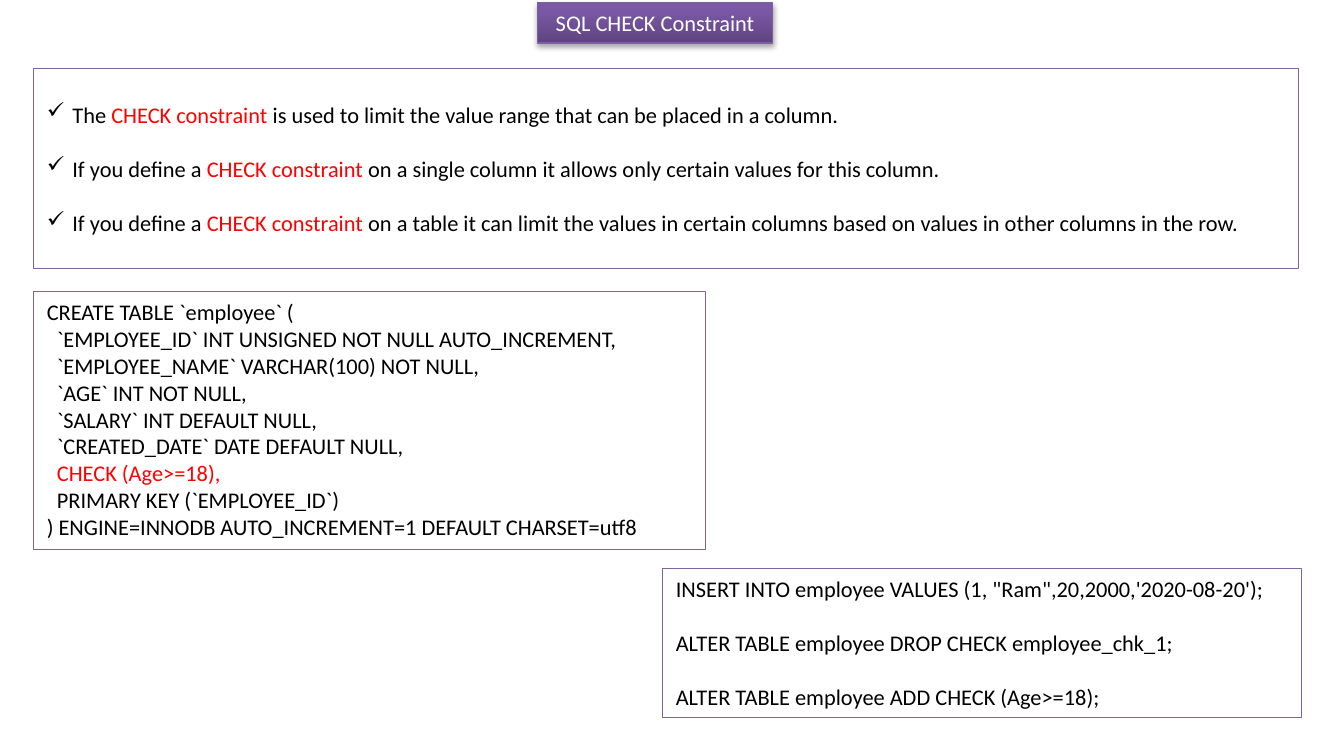
import copy

import lxml.etree
import pptx
import pptx.dml.color
import pptx.enum.shapes
import pptx.enum.text
import pptx.oxml.ns
import pptx.util

Inches = pptx.util.Inches
Pt = pptx.util.Pt
qn = pptx.oxml.ns.qn
ANCHOR = pptx.enum.text.MSO_ANCHOR
ALIGN = pptx.enum.text.PP_ALIGN


class Theme:
    font = "Calibri"
    size = Pt(12)
    blank_line = Pt(14.65)
    text = "000000"
    accent = "FF0000"
    panel = "FFFFFF"
    border = "8064A2"
    title_text = "FFFFFF"
    title_border = "7D60A0"
    title_stops = [(0, "5F4480"), (0.8, "7B58A6"), (1, "7C57A8")]


TITLE = "SQL CHECK Constraint"
RULES = [
    "The CHECK constraint is used to limit the value range that can be placed in a column.",
    "If you define a CHECK constraint on a single column it allows only certain values for this column.",
    "If you define a CHECK constraint on a table it can limit the values in certain columns "
    "based on values in other columns in the row.",
]
CREATE_TABLE = [
    "CREATE TABLE `employee` (",
    "  `EMPLOYEE_ID` INT UNSIGNED NOT NULL AUTO_INCREMENT,",
    "  `EMPLOYEE_NAME` VARCHAR(100) NOT NULL,",
    "  `AGE` INT NOT NULL,",
    "  `SALARY` INT DEFAULT NULL,",
    "  `CREATED_DATE` DATE DEFAULT NULL,",
    "  CHECK (Age>=18),",
    "  PRIMARY KEY (`EMPLOYEE_ID`)",
    ") ENGINE=INNODB AUTO_INCREMENT=1 DEFAULT CHARSET=utf8",
]
STATEMENTS = [
    "INSERT INTO employee VALUES (1, \"Ram\",20,2000,'2020-08-20');",
    "ALTER TABLE employee DROP CHECK employee_chk_1;",
    "ALTER TABLE employee ADD CHECK (Age>=18);",
]


def rgb(value):
    return pptx.dml.color.RGBColor.from_string(value)


def add_box(slide, left, top, width, height, border, weight):
    box = slide.shapes.add_shape(
        pptx.enum.shapes.MSO_SHAPE.RECTANGLE,
        Inches(left), Inches(top), Inches(width), Inches(height))
    box.shadow.inherit = False
    box.line.color.rgb = rgb(border)
    box.line.width = Pt(weight)
    box.text_frame.word_wrap = True
    return box


def add_check_bullet(paragraph):
    properties = paragraph._p.get_or_add_pPr()
    properties.set("marL", str(Inches(0.19)))
    properties.set("indent", str(-Inches(0.19)))
    lxml.etree.SubElement(properties, qn("a:buChar")).set("char", "✓")


def write_lines(box, lines, color, accent=None, align=ALIGN.LEFT,
                anchor=ANCHOR.TOP, spaced=False, bulleted=False):
    """One paragraph per line; the accent phrase gets the accent colour."""
    frame = box.text_frame
    frame.vertical_anchor = anchor
    for number, line in enumerate(lines):
        paragraph = frame.add_paragraph() if number else frame.paragraphs[0]
        paragraph.alignment = align
        if spaced and number:
            paragraph.space_before = Theme.blank_line
        if bulleted:
            add_check_bullet(paragraph)
        for piece in line.partition(accent) if accent else [line]:
            if not piece:
                continue
            run = paragraph.add_run()
            run.text = piece
            run.font.name = Theme.font
            run.font.size = Theme.size
            run.font.color.rgb = rgb(Theme.accent if piece == accent else color)


def add_panel(slide, place, lines, **options):
    panel = add_box(slide, *place, Theme.border, 0.25)
    panel.fill.solid()
    panel.fill.fore_color.rgb = rgb(Theme.panel)
    write_lines(panel, lines, Theme.text, **options)


def add_title(slide, place, text):
    title = add_box(slide, *place, Theme.title_border, 0.75)
    write_lines(title, [text], Theme.title_text, align=ALIGN.CENTER)

    # Gradient rising from dark to light
    title.fill.gradient()
    title.fill.gradient_angle = 90
    properties = title._element.spPr
    stop_list = properties.find(".//" + qn("a:gsLst"))
    stop_list.append(copy.deepcopy(stop_list[-1]))
    for stop, (position, color) in zip(title.fill.gradient_stops, Theme.title_stops):
        stop.position = position
        stop.color.rgb = rgb(color)

    # Soft shadow below
    shadow = lxml.etree.SubElement(
        properties.find(qn("a:effectLst")), qn("a:outerShdw"),
        blurRad=str(Pt(3.1)), dist=str(Pt(1.8)), dir="5400000", rotWithShape="0")
    black = lxml.etree.SubElement(shadow, qn("a:srgbClr"), val="000000")
    lxml.etree.SubElement(black, qn("a:alpha"), val="35000")


def main():
    deck = pptx.Presentation()
    deck.slide_width, deck.slide_height = Inches(10), Inches(5.5)
    slide = deck.slides.add_slide(deck.slide_layouts[6])

    add_title(slide, (4, 0.02, 1.75, 0.3), TITLE)

    # What the constraint does
    add_panel(slide, (0.25, 0.51, 9.41, 1.49), RULES, accent="CHECK constraint",
              anchor=ANCHOR.MIDDLE, spaced=True, bulleted=True)

    # Table definition and follow-up statements
    add_panel(slide, (0.25, 2.17, 5, 1.92), CREATE_TABLE, accent="CHECK (Age>=18),")
    add_panel(slide, (4.93, 4.23, 4.75, 1.11), STATEMENTS, spaced=True)

    deck.save("out.pptx")


if __name__ == "__main__":
    main()
